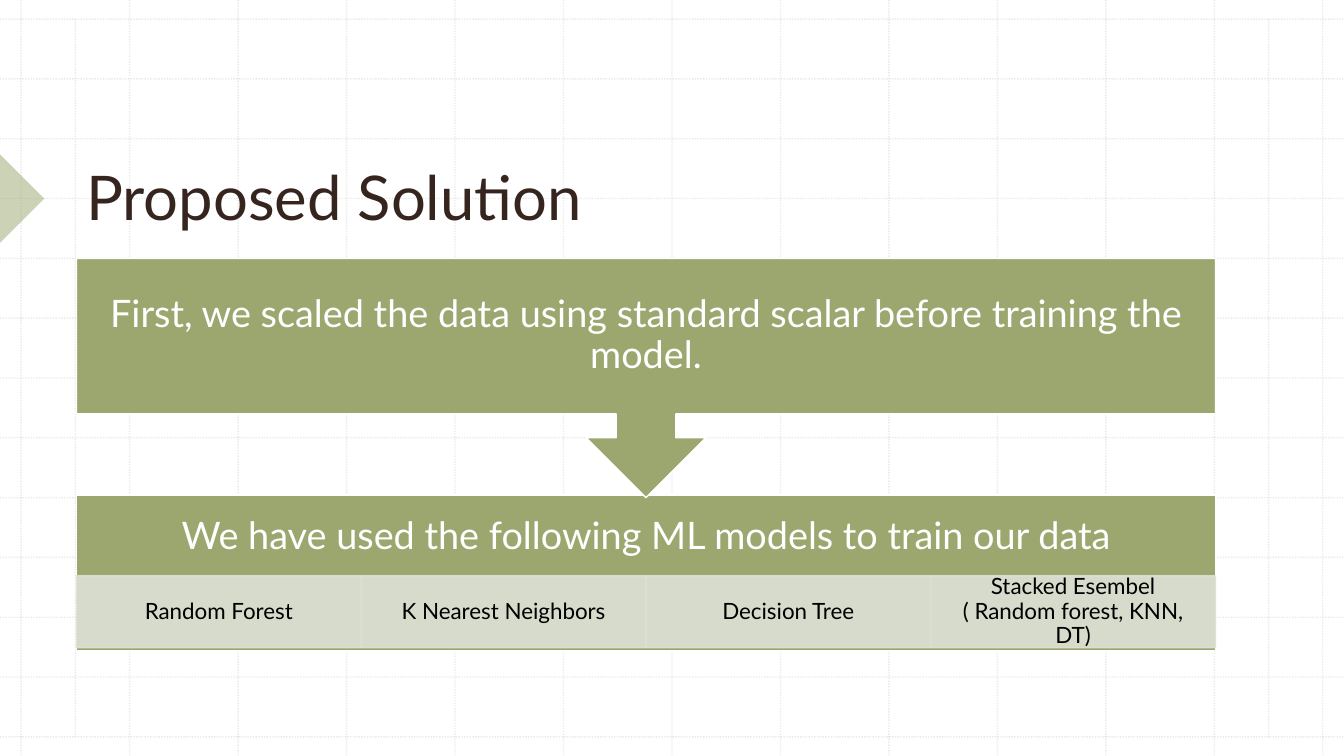
from dataclasses import dataclass

from lxml import etree
from pptx import Presentation
from pptx import util as u
from pptx.dml.color import RGBColor
from pptx.enum import dml, shapes, text
from pptx.oxml import ns

WIDTH, HEIGHT = 13.33, 7.5
STEPS = 12                        # grid steps between the outermost lines
MARGIN_X, MARGIN_Y = 0.21, 0.19
COLUMN = (WIDTH - 2 * MARGIN_X) / STEPS
ROW = (HEIGHT - 2 * MARGIN_Y) / STEPS
FONT = "Lato"
COLORS = {"grid": "BCBCBC", "green": "9BA76F", "pale": "DEE1D5",
          "brown": "36251E", "white": "FFFFFF", "black": "000000"}
LEFT, SPAN = 0.51, 10.5           # content band, in columns
MODELS = ["Random Forest", "K Nearest Neighbors", "Decision Tree",
          "Stacked Esembel ( Random forest, KNN, DT)"]


@dataclass
class Area:
    """A place on the grid, in columns and rows."""
    column: float
    row: float
    columns: float
    rows: float

    def inches(self):
        return (u.Inches(MARGIN_X + self.column * COLUMN),
                u.Inches(MARGIN_Y + self.row * ROW),
                u.Inches(self.columns * COLUMN), u.Inches(self.rows * ROW))


@dataclass
class TextStyle:
    size: float
    color: str
    inset: tuple[float, float]    # horizontal, vertical
    align: text.PP_ALIGN = text.PP_ALIGN.CENTER
    anchor: text.MSO_ANCHOR = text.MSO_ANCHOR.MIDDLE
    spacing: float = 0.9


TITLE = TextStyle(44, "brown", (0.1, 0.05), text.PP_ALIGN.LEFT, text.MSO_ANCHOR.BOTTOM)
STEP = TextStyle(27, "white", (0.21, 0.21))
MODEL = TextStyle(16, "black", (0.12, 0.02))


def color_of(name: str) -> RGBColor:
    return RGBColor.from_string(COLORS[name])


def set_opacity(element, percent: int) -> None:
    for color in element.iter(ns.qn("a:srgbClr")):
        etree.SubElement(color, ns.qn("a:alpha"), val=str(percent * 1000))


def add_grid_line(page, x1: float, y1: float, x2: float, y2: float) -> None:
    line = page.shapes.add_connector(
        shapes.MSO_CONNECTOR.STRAIGHT, *map(u.Inches, (x1, y1, x2, y2)))
    line.line.color.rgb = color_of("grid")
    line.line.width = u.Pt(1)
    line.line.dash_style = dml.MSO_LINE.ROUND_DOT
    properties = line._element.spPr
    set_opacity(properties, 30)
    etree.SubElement(properties, ns.qn("a:effectLst"))


def add_block(page, kind, place, fill: str, outline: str | None = None, opacity: int = 100):
    block = page.shapes.add_shape(kind, *place)
    block.shadow.inherit = False
    block.fill.solid()
    block.fill.fore_color.rgb = color_of(fill)
    if outline:
        block.line.color.rgb = color_of(outline)
        block.line.width = u.Pt(1)
    else:
        block.line.fill.background()
    if opacity < 100:
        set_opacity(block._element.spPr, opacity)
    return block


def write(box, words: str, style: TextStyle) -> None:
    frame = box.text_frame
    frame.text = words
    frame.word_wrap = True
    frame.vertical_anchor = style.anchor
    frame.margin_left = frame.margin_right = u.Inches(style.inset[0])
    frame.margin_top = frame.margin_bottom = u.Inches(style.inset[1])
    para = frame.paragraphs[0]
    para.alignment = style.align
    para.line_spacing = style.spacing
    for span in para.runs:
        span.font.name = FONT
        span.font.size = u.Pt(style.size)
        span.font.color.rgb = color_of(style.color)


def add_words(page, area: Area, words: str, style: TextStyle) -> None:
    write(page.shapes.add_textbox(*area.inches()), words, style)


deck = Presentation()
deck.slide_width, deck.slide_height = u.Inches(WIDTH), u.Inches(HEIGHT)
page = deck.slides.add_slide(deck.slide_layouts[6])

# Background grid, with a half-column line near each side
for step in range(STEPS + 1):
    x, y = MARGIN_X + step * COLUMN, MARGIN_Y + step * ROW
    add_grid_line(page, x, 0, x, HEIGHT)
    add_grid_line(page, 0, y, WIDTH, y)
for column in (0.5, STEPS - 0.5):
    x = MARGIN_X + column * COLUMN
    add_grid_line(page, x, MARGIN_Y, x, HEIGHT - MARGIN_Y)

# Title and the pointer at the left edge
side = 0.62
pointer = add_block(page, shapes.MSO_SHAPE.RIGHT_TRIANGLE,
                    map(u.Inches, (-side / 2, MARGIN_Y + 3 * ROW - side / 2, side, side)),
                    "green", opacity=50)
pointer.rotation = 225
add_words(page, Area(LEFT, 1.01, SPAN, 2.66), "Proposed Solution", TITLE)

# Second step: models
add_block(page, shapes.MSO_SHAPE.RECTANGLE, Area(LEFT, 7.96, SPAN, 2.6).inches(),
          "green", "white")
add_words(page, Area(LEFT, 7.96, SPAN, 1.4),
          "We have used the following ML models to train our data", STEP)
card_width = SPAN / len(MODELS)
for index, model in enumerate(MODELS):
    area = Area(LEFT + index * card_width, 9.31, card_width, 1.2)
    card = add_block(page, shapes.MSO_SHAPE.RECTANGLE, area.inches(), "pale", "pale", 90)
    write(card, model, MODEL)

# First step: scaling, with its arrow down to the models
callout = add_block(page, shapes.MSO_SHAPE.UP_ARROW_CALLOUT,
                    Area(LEFT, 4, SPAN, 4).inches(), "green", "white")
callout.rotation = 180
add_words(page, Area(LEFT, 4, SPAN, 2.6),
          "First, we scaled the data using standard scalar before training the model.", STEP)

deck.save("out.pptx")
